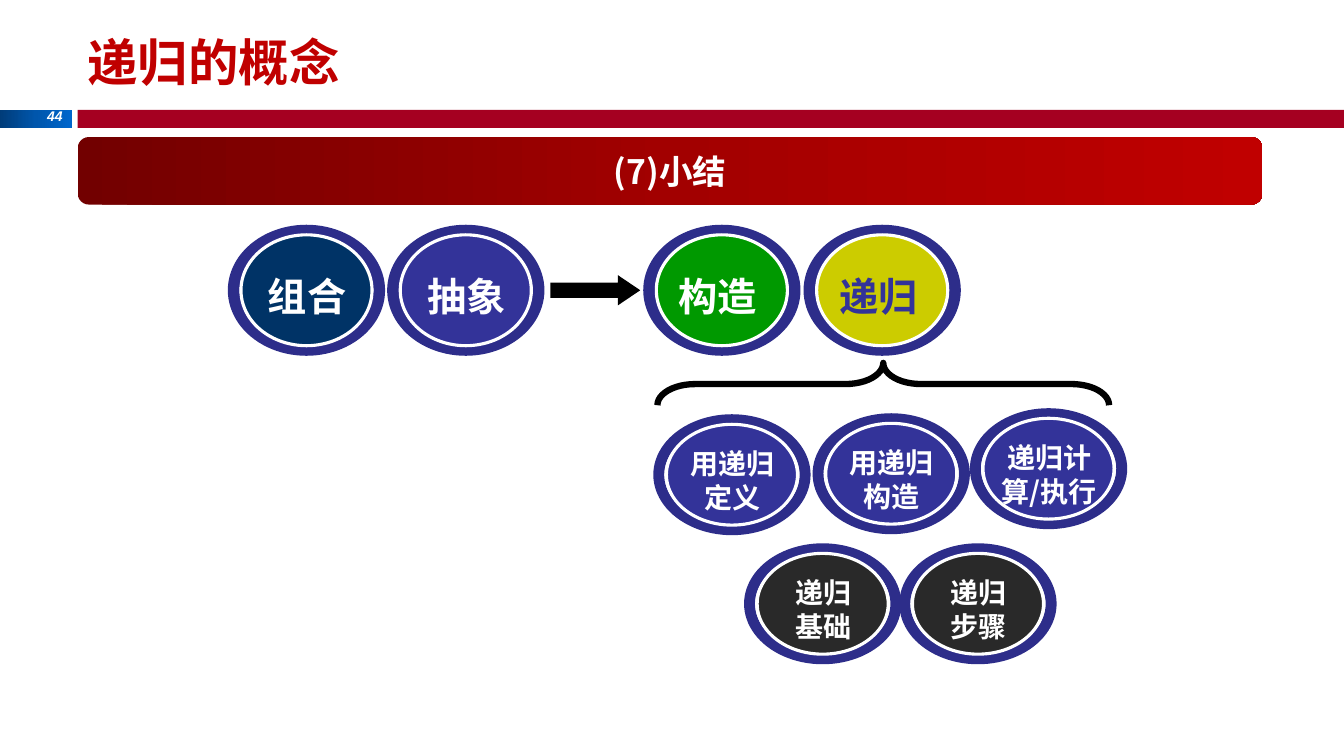
import copy

import pptx
import pptx.dml.color
import pptx.enum.shapes
import pptx.enum.text
import pptx.oxml.ns
import pptx.util

Inches = pptx.util.Inches
Pt = pptx.util.Pt
KIND = pptx.enum.shapes.MSO_SHAPE
ALIGN = pptx.enum.text.PP_ALIGN
FONT = "Noto Sans CJK SC"
HUES = {
    "white": "FFFFFF", "black": "000000", "title": "C00000", "bar": "A50021",
    "ring": "2D2D8A", "navy": "003366", "blue": "333399", "green": "009900",
    "gold": "CCCC00", "dark": "292929",
}
FADES = {
    "page": ["003C79", "0056AC", "0066CC"],
    "banner": ["720000", "A20000", "C00000"],
}
# centre x, centre y, fill, text colour, lines
BIG = [
    (3.04, 2.88, "navy", "white", ["组合"]),
    (4.62, 2.88, "blue", "white", ["抽象"]),
    (7.16, 2.88, "green", "white", ["构造 "]),
    (8.75, 2.88, "gold", "blue", ["递归 "]),
]
SMALL = [
    (7.26, 4.71, "blue", "white", ["用递归定义"]),
    (8.84, 4.7, "blue", "white", ["用递归构造"]),
    (10.4, 4.65, "blue", "white", ["递归计算/执行"]),
    (8.16, 5.99, "dark", "white", ["递归", "基础"]),
    (9.7, 5.99, "dark", "white", ["递归", "步骤"]),
]


def tint(name):
    return pptx.dml.color.RGBColor.from_string(HUES[name])


def shape(shapes, kind, x, y, w, h, fill=None, line=None, width=0):
    item = shapes.add_shape(kind, Inches(x), Inches(y), Inches(w), Inches(h))
    item.shadow.inherit = False
    if fill:
        item.fill.solid()
        item.fill.fore_color.rgb = tint(fill)
    else:
        item.fill.background()
    if line:
        item.line.color.rgb = tint(line)
        item.line.width = Pt(width)
    else:
        item.line.fill.background()
    return item


def fade(item, hues):
    """Fill a shape with a left-to-right gradient of evenly spaced hues."""
    item.fill.gradient()
    item.fill.gradient_angle = 0
    stops = item.fill._fill._gradFill.find(pptx.oxml.ns.qn("a:gsLst"))
    while len(stops) < len(hues):
        stops.append(copy.deepcopy(stops[0]))
    for i, stop in enumerate(item.fill.gradient_stops):
        stop.position = i / (len(hues) - 1)
        stop.color.rgb = pptx.dml.color.RGBColor.from_string(hues[i])


def write(item, lines, size, hue, align=ALIGN.CENTER, face=FONT, lead=None,
          wrap=True, slant=False):
    frame = item.text_frame
    frame.word_wrap = wrap
    frame.vertical_anchor = pptx.enum.text.MSO_ANCHOR.MIDDLE
    for i, line in enumerate(lines):
        para = frame.add_paragraph() if i else frame.paragraphs[0]
        para.alignment = align
        if lead:
            para.line_spacing = Pt(lead)
        run = para.add_run()
        run.text = line
        font = run.font
        font.name, font.size, font.bold = face, Pt(size), True
        if slant:
            font.italic = True
        font.color.rgb = tint(hue)
        east = run._r.get_or_add_rPr().makeelement(
            pptx.oxml.ns.qn("a:ea"), {"typeface": face})
        font._rPr.find(pptx.oxml.ns.qn("a:latin")).addnext(east)


def text(shapes, x, y, w, h, *args, **style):
    box = shapes.add_textbox(Inches(x), Inches(y), Inches(w), Inches(h))
    write(box, *args, **style)


def badge(slide, x, y, fill, hue, lines, tall, size):
    """Group a ring, its disc and its label around the centre x, y."""
    parts = slide.shapes.add_group_shape().shapes
    ring = shape(parts, KIND.DONUT, x - 0.78, y - tall / 2, 1.56, tall, "ring")
    ring.adjustments[0] = 0.09
    deep = tall - 0.2
    shape(parts, KIND.OVAL, x - 0.65, y - deep / 2, 1.3, deep,
          fill, "white", 2.25)
    text(parts, x - 0.64, y - 0.33, 1.29, 0.77, lines, size, hue,
         lead=size * 1.2)


def frame(slide):
    """Draw the title, the page number and the bars under them."""
    page = shape(slide.shapes, KIND.RECTANGLE, 0, 1.09, 0.71, 0.18)
    fade(page, FADES["page"])
    shape(slide.shapes, KIND.RECTANGLE, 0.77, 1.09, 12.56, 0.18, "bar")
    text(slide.shapes, 0.35, 1.02, 0.37, 0.27, ["44"], 10, "white",
         align=ALIGN.RIGHT, face="Arial", wrap=False, slant=True)
    text(slide.shapes, 0.77, 0.19, 11.67, 0.83, ["递归的概念"], 36, "title",
         align=ALIGN.LEFT)
    banner = shape(slide.shapes, KIND.ROUNDED_RECTANGLE,
                   0.77, 1.36, 11.75, 0.67)
    fade(banner, FADES["banner"])
    write(banner, ["(7)小结"], 24, "white")


def main():
    deck = pptx.Presentation()
    deck.slide_width, deck.slide_height = Inches(13.33), Inches(7.5)
    slide = deck.slides.add_slide(deck.slide_layouts[6])
    frame(slide)
    for item in BIG:
        badge(slide, *item, tall=1.3, size=28)
    arrow = shape(slide.shapes, KIND.RIGHT_ARROW,
                  5.46, 2.73, 0.89, 0.3, "black")
    arrow.adjustments[1] = 0.74
    brace = shape(slide.shapes, KIND.LEFT_BRACE, 8.55, 1.57, 0.42, 4.48,
                  line="black", width=4.5)
    brace.rotation = 90
    brace.adjustments[0] = 0.89
    for item in SMALL:
        badge(slide, *item, tall=1.2, size=20)
    deck.save("out.pptx")


if __name__ == "__main__":
    main()
